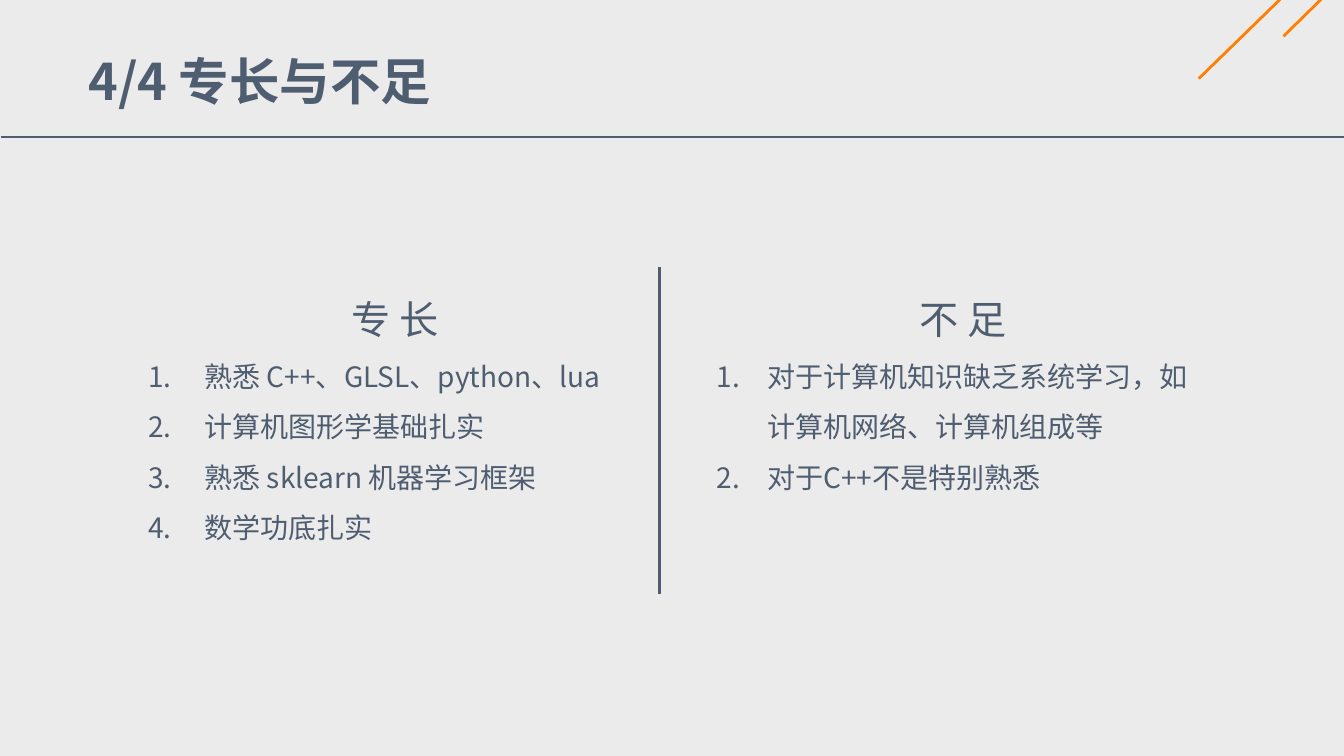
from typing import NamedTuple

from lxml.etree import SubElement
from pptx import Presentation
from pptx.dml.color import RGBColor
from pptx.enum.shapes import MSO_CONNECTOR
from pptx.enum.text import MSO_AUTO_SIZE, PP_ALIGN
from pptx.oxml.ns import qn
from pptx.slide import Slide
from pptx.text.text import TextFrame, _Paragraph
from pptx.util import Inches, Pt

SLATE = RGBColor(0x4F, 0x5D, 0x70)
ORANGE = RGBColor(0xFE, 0x7F, 0x02)
PALE_GREY = RGBColor(0xEB, 0xEB, 0xEB)
FONT = "Noto Sans CJK SC"
COLUMN_TOP = 2.65
COLUMN_WIDTH = 5.09


class Rule(NamedTuple):
    """A straight line between two points in inches."""

    start: tuple[float, float]
    end: tuple[float, float]
    color: RGBColor


class Column(NamedTuple):
    """A heading above a numbered list."""

    left: float
    height: float
    heading: str
    items: list[str]
    indent: float
    alignment: PP_ALIGN


RULES = [
    Rule((0.01, 1.36), (13.33, 1.36), SLATE),
    Rule((11.89, 0.78), (13.1, -0.4), ORANGE),
    Rule((12.73, 0.36), (13.93, -0.82), ORANGE),
    Rule((6.54, 5.89), (6.54, COLUMN_TOP), SLATE),
]
COLUMNS = [
    Column(
        1.37, 3.36, "专 长",
        ["熟悉 C++、GLSL、python、lua", "计算机图形学基础扎实",
         "熟悉 sklearn 机器学习框架", "数学功底扎实"],
        0.56, PP_ALIGN.JUSTIFY,
    ),
    Column(
        7.01, 2.35, "不 足",
        ["对于计算机知识缺乏系统学习，如计算机网络、计算机组成等",
         "对于C++不是特别熟悉"],
        0.5, PP_ALIGN.LEFT,
    ),
]


def add_rule(page: Slide, rule: Rule) -> None:
    """Draw one line without a shadow."""
    points = [Inches(value) for value in (*rule.start, *rule.end)]
    line = page.shapes.add_connector(MSO_CONNECTOR.STRAIGHT, *points)
    line.line.color.rgb = rule.color
    line.line.width = Pt(2)
    SubElement(line._element.spPr, qn("a:effectLst"))


def add_box(page: Slide, left: float, top: float, width: float, height: float,
            text: str) -> TextFrame:
    """Add a wrapping text box and return its text frame."""
    box = page.shapes.add_textbox(
        Inches(left), Inches(top), Inches(width), Inches(height))
    frame = box.text_frame
    frame.word_wrap = True
    frame.auto_size = MSO_AUTO_SIZE.SHAPE_TO_FIT_TEXT
    frame.text = text
    return frame


def format_text(para: _Paragraph, size: int, bold: bool = False) -> None:
    """Apply the deck's font and colour to every run of a paragraph."""
    for span in para.runs:
        span.font.size = Pt(size)
        span.font.bold = bold
        span.font.color.rgb = SLATE
        span.font.name = FONT
        SubElement(span.font._element, qn("a:ea"), typeface=FONT)


def number(para: _Paragraph, indent: float) -> None:
    """Give a paragraph an automatic number and a hanging indent."""
    properties = para._p.get_or_add_pPr()
    properties.set("marL", str(Inches(indent)))
    properties.set("indent", str(-Inches(indent)))
    SubElement(properties, qn("a:buFont"), typeface="+mj-lt")
    SubElement(properties, qn("a:buAutoNum"), type="arabicPeriod")


def add_column(page: Slide, column: Column) -> None:
    """Draw a centred heading and its numbered list."""
    text = "\n".join([column.heading, *column.items])
    frame = add_box(
        page, column.left, COLUMN_TOP, COLUMN_WIDTH, column.height, text)
    heading, *items = frame.paragraphs
    heading.alignment = PP_ALIGN.CENTER
    heading.line_spacing = 1.5
    format_text(heading, 28)
    for para in items:
        para.alignment = column.alignment
        para.line_spacing = 1.5
        number(para, column.indent)
        format_text(para, 20)


def main() -> None:
    """Build and save the slide."""
    deck = Presentation()
    deck.slide_width = Inches(13.33)
    deck.slide_height = Inches(7.5)
    page = deck.slides.add_slide(deck.slide_layouts[6])
    page.background.fill.solid()
    page.background.fill.fore_color.rgb = PALE_GREY

    title = add_box(page, 0.78, 0.45, 4.34, 0.71, "4/4 专长与不足")
    format_text(title.paragraphs[0], 36, bold=True)
    for rule in RULES:
        add_rule(page, rule)
    for column in COLUMNS:
        add_column(page, column)

    deck.save("out.pptx")


main()
